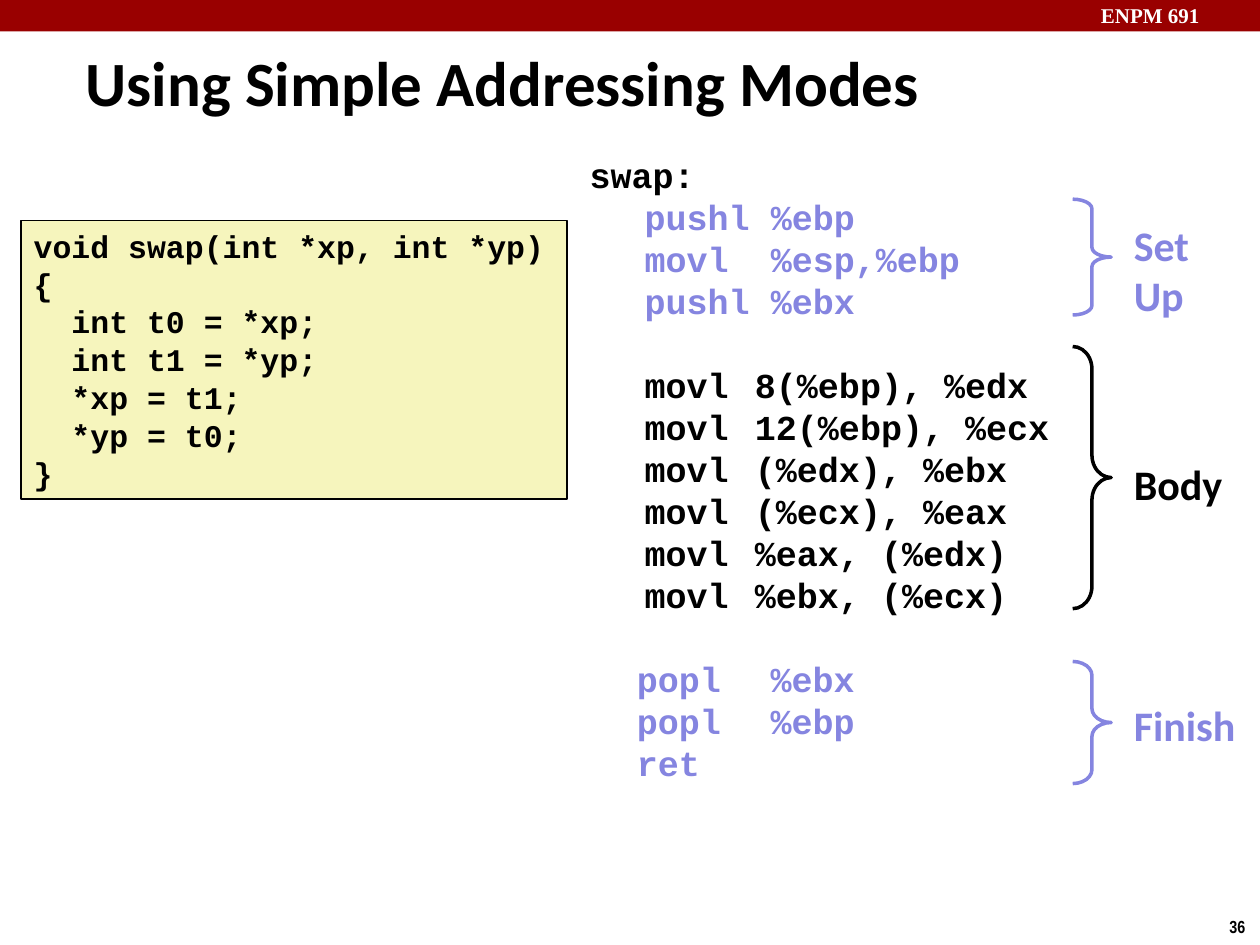
from lxml import etree
from pptx import Presentation
from pptx.dml.color import RGBColor
from pptx.enum.shapes import MSO_SHAPE
from pptx.enum.text import MSO_ANCHOR
from pptx.oxml.ns import qn
from pptx.util import Pt

RECTANGLE, BRACE = MSO_SHAPE.RECTANGLE, MSO_SHAPE.RIGHT_BRACE
TOP, MIDDLE = MSO_ANCHOR.TOP, MSO_ANCHOR.MIDDLE
TITLE_ONLY = 5

THEME = {
    "black": RGBColor(0x00, 0x00, 0x00),
    "white": RGBColor(0xFF, 0xFF, 0xFF),
    "band": RGBColor(0x99, 0x00, 0x00),
    "violet": RGBColor(0x85, 0x85, 0xE0),
    "cream": RGBColor(0xF6, 0xF5, 0xBD),
    "title": ("Calibri", 36),
    "label": ("Calibri", 24),
    "source": ("Courier New", 18),
    "assembly": ("Courier New", 20),
    "course": ("Times New Roman", 12),
    "number": ("Arial Narrow", 10),
}
CODE_LEADING = 1.2

TITLE = "Using Simple Addressing Modes"
COURSE = "ENPM 691"
PAGE_NUMBER = "36"
SOURCE_CODE = [
    "void swap(int *xp, int *yp)",
    "{",
    "  int t0 = *xp;",
    "  int t1 = *yp;",
    "  *xp = t1;",
    "  *yp = t0;",
    "}",
]
# Each group: colour, tab stops, gap in lines above, lines of code
ASSEMBLY = [
    ("black", (31.5, 94.5), 0, ["swap:"]),
    ("violet", (31.5, 94.5), 0,
     ["\tpushl %ebp", "\tmovl  %esp,%ebp", "\tpushl %ebx"]),
    ("black", (31.5, 94.5), 1,
     ["\tmovl\t8(%ebp), %edx", "\tmovl\t12(%ebp), %ecx",
      "\tmovl\t(%edx), %ebx", "\tmovl\t(%ecx), %eax",
      "\tmovl\t%eax, (%edx)", "\tmovl\t%ebx, (%ecx)"]),
    ("violet", (27, 103.5), 1, ["\tpopl\t%ebx", "\tpopl\t%ebp", "\tret"]),
]
# Each section: label lines, colour, brace top and height, curl, label top
SECTIONS = [
    (["Set", "Up"], "violet", 113.8, 66.2, 0.25, 121.7),
    (["Body"], "black", 198, 149.8, 0.585, 258.5),
    (["Finish"], "violet", 378, 69.8, 0.362, 396),
]
BRACE_LEFT, BRACE_WIDTH = 613, 22
LABEL_LEFT, LABEL_WIDTH, LABEL_LINE = 640.8, 74, 29.3


def format_paragraph(para, style, colour):
    family, size = THEME[style]
    for span in para.runs:
        span.font.name = family
        span.font.size = Pt(size)
        span.font.bold = True
        span.font.color.rgb = THEME[colour]


def write_lines(frame, lines, style, colour):
    frame.text = "\n".join(lines)
    for para in frame.paragraphs:
        format_paragraph(para, style, colour)


def set_code_leading(para, style):
    para.line_spacing = Pt(THEME[style][1] * CODE_LEADING)


def set_tabs(para, stops):
    tabs = etree.SubElement(para._p.get_or_add_pPr(), qn("a:tabLst"))
    for stop in stops:
        etree.SubElement(tabs, qn("a:tab"), pos=str(int(Pt(stop))), algn="l")


def add_shape(page, kind, bounds, fill=None, line=None, width=1):
    shape = page.shapes.add_shape(kind, *map(Pt, bounds))
    shape.shadow.inherit = False
    if fill:
        shape.fill.solid()
        shape.fill.fore_color.rgb = THEME[fill]
    else:
        shape.fill.background()
    if line:
        shape.line.color.rgb = THEME[line]
        shape.line.width = Pt(width)
    else:
        shape.line.fill.background()
    return shape


def add_text(page, bounds, lines, style, colour, wrap=False):
    box = page.shapes.add_textbox(*map(Pt, bounds))
    box.text_frame.word_wrap = wrap
    write_lines(box.text_frame, lines, style, colour)


def add_header(page):
    add_shape(page, RECTANGLE, (0, 0, 720, 18), fill="band")
    add_text(page, (622, -2, 98, 21.6), [COURSE], "course", "white", wrap=True)
    add_text(page, (695.5, 519.8, 24.5, 19.4), [PAGE_NUMBER], "number", "black")


def set_title(page):
    title = page.shapes.title
    title.left, title.top, title.width, title.height = map(
        Pt, (41.8, 23.8, 603.4, 45.4))
    frame = title.text_frame
    frame.vertical_anchor = MIDDLE
    write_lines(frame, [TITLE], "title", "black")
    properties = frame.paragraphs[0]._p.get_or_add_pPr()
    properties.set("algn", "l")


def add_source_code(page):
    panel = add_shape(page, RECTANGLE, (12.2, 126, 311.8, 159.1),
                      fill="cream", line="black")
    frame = panel.text_frame
    frame.word_wrap = True
    frame.vertical_anchor = TOP
    write_lines(frame, SOURCE_CODE, "source", "black")
    for para in frame.paragraphs:
        para._p.get_or_add_pPr().set("algn", "l")
        set_code_leading(para, "source")


def add_assembly(page):
    box = page.shapes.add_textbox(*map(Pt, (329.8, 84.2, 288, 370.8)))
    frame = box.text_frame
    frame.word_wrap = True
    frame.text = "\n".join(line for group in ASSEMBLY for line in group[3])
    paragraphs = iter(frame.paragraphs)
    for colour, stops, gap, lines in ASSEMBLY:
        for index in range(len(lines)):
            para = next(paragraphs)
            set_tabs(para, stops)
            set_code_leading(para, "assembly")
            if gap and index == 0:
                para.space_before = Pt(gap * THEME["assembly"][1] * CODE_LEADING)
            format_paragraph(para, "assembly", colour)


def add_sections(page):
    for lines, colour, top, height, curl, label_top in SECTIONS:
        brace = add_shape(page, BRACE, (BRACE_LEFT, top, BRACE_WIDTH, height),
                          line=colour, width=2)
        brace.adjustments[0] = curl
        label_height = len(lines) * LABEL_LINE + 7.2
        add_text(page, (LABEL_LEFT, label_top, LABEL_WIDTH, label_height),
                 lines, "label", colour)


def main():
    deck = Presentation()
    deck.slide_width, deck.slide_height = Pt(720), Pt(540)
    page = deck.slides.add_slide(deck.slide_layouts[TITLE_ONLY])
    add_header(page)
    set_title(page)
    add_source_code(page)
    add_assembly(page)
    add_sections(page)
    deck.save("out.pptx")


if __name__ == "__main__":
    main()
